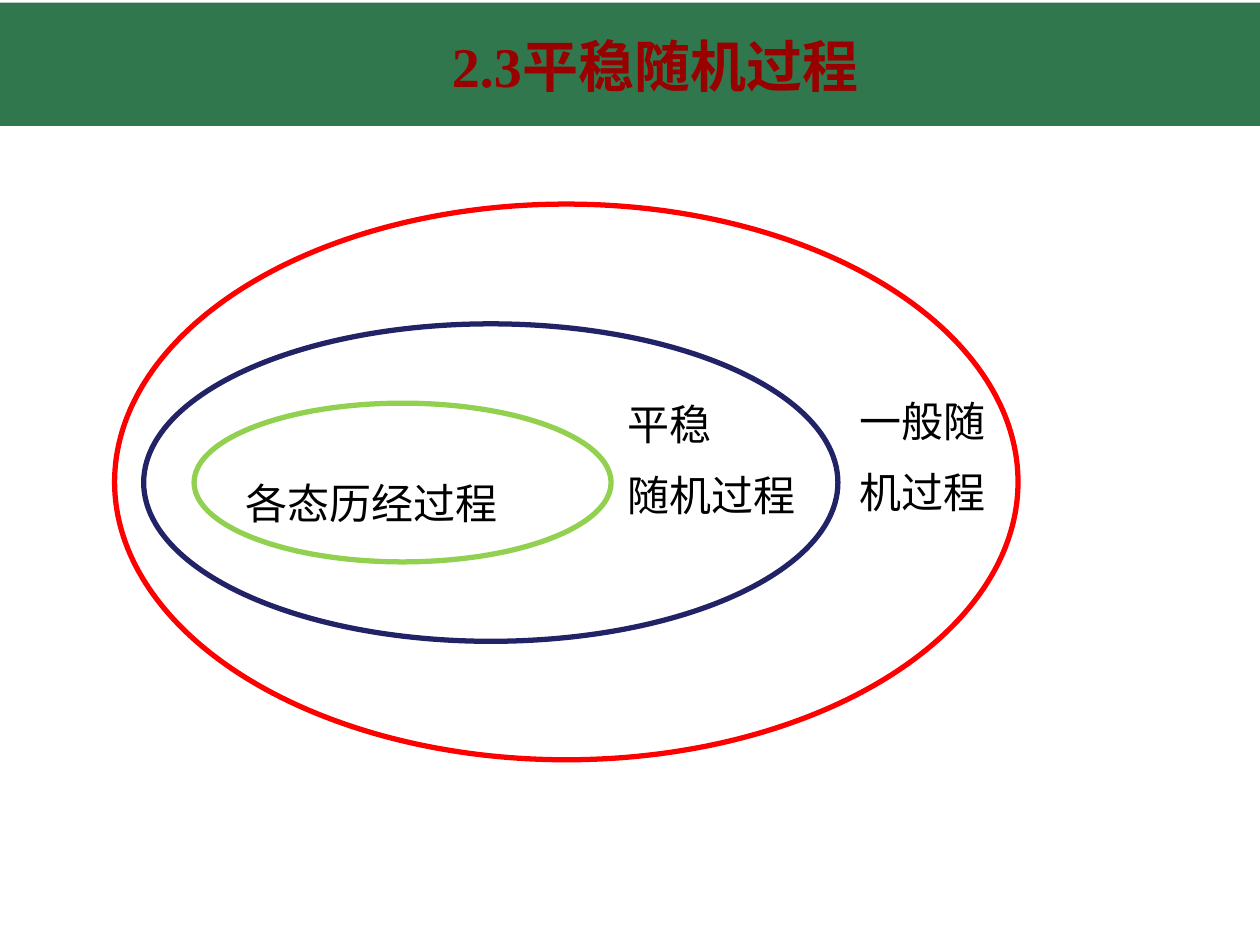
from dataclasses import dataclass
from lxml.etree import SubElement
from pptx import Presentation
from pptx.dml.color import RGBColor
from pptx.enum.shapes import MSO_SHAPE
from pptx.enum.text import MSO_ANCHOR, PP_ALIGN
from pptx.oxml.ns import qn
from pptx.util import Inches, Pt


@dataclass(frozen=True)
class Theme:
    band: str = "005825"
    title: str = "990000"
    text: str = "000000"
    outer: str = "FF0000"
    middle: str = "222267"
    inner: str = "92D050"
    latin: str = "Times New Roman"
    asian: str = "Noto Sans CJK SC"
    head: int = 32
    body: int = 24
    stroke: int = 3


def apply(target, values):
    for name, value in values.items():
        setattr(target, name, value)


class Canvas:
    def __init__(self, slide, theme):
        self.slide = slide
        self.theme = theme

    def shape(self, kind, box):
        shape = self.slide.shapes.add_shape(kind, *map(Inches, box))
        shape.shadow.inherit = False
        return shape

    def band(self, box, alpha):
        shape = self.shape(MSO_SHAPE.RECTANGLE, box)
        shape.fill.solid()
        shape.fill.fore_color.rgb = RGBColor.from_string(self.theme.band)
        shape.line.fill.background()
        color = shape.fill._xPr.find(".//" + qn("a:srgbClr"))
        SubElement(color, qn("a:alpha"), val=str(alpha * 1000))

    def ring(self, box, color):
        shape = self.shape(MSO_SHAPE.OVAL, box)
        shape.fill.background()
        shape.line.color.rgb = RGBColor.from_string(color)
        shape.line.width = Pt(self.theme.stroke)

    def text(self, box, lines, font, para):
        frame = self.slide.shapes.add_textbox(*map(Inches, box)).text_frame
        apply(frame, {"word_wrap": False, "vertical_anchor": MSO_ANCHOR.TOP})
        frame.text = "\n".join(lines)
        for item in frame.paragraphs:
            apply(item, para)
            for run in item.runs:
                color = font["color"]
                apply(run.font, {k: v for k, v in font.items() if k != "color"})
                run.font.color.rgb = RGBColor.from_string(color)
                props = run.font._element
                props.set("lang", "zh-CN")
                SubElement(props, qn("a:ea"), typeface=self.theme.asian)

    def label(self, box, lines, **extra):
        theme = self.theme
        font = {"name": theme.asian, "size": Pt(theme.body), "color": theme.text}
        self.text(box, lines, font, {"space_before": Pt(theme.body / 2), **extra})

    def title(self, box, line):
        theme = self.theme
        font = {"name": theme.latin, "size": Pt(theme.head),
                "color": theme.title, "bold": True}
        self.text(box, [line], font, {"alignment": PP_ALIGN.CENTER})


def main():
    deck = Presentation()
    apply(deck, {"slide_width": Inches(10), "slide_height": Inches(7.5)})
    theme = Theme()
    canvas = Canvas(deck.slides.add_slide(deck.slide_layouts[6]), theme)

    canvas.band((0, 0.02, 10, 0.98), 81)
    canvas.ring((1.14, 2.57, 5.51, 2.52), theme.middle)
    canvas.ring((1.54, 3.2, 3.31, 1.26), theme.inner)
    canvas.ring((0.91, 1.62, 7.17, 4.41), theme.outer)
    canvas.label((6.72, 3.09, 1.21, 1.11), ["一般随", "机过程"])
    canvas.label((4.88, 3.11, 1.55, 1.11), ["平稳", "随机过程"])
    canvas.label((1.85, 3.52, 2.22, 0.63), ["各态历经过程"], line_spacing=1.55)
    canvas.title((3.39, 0.2, 3.62, 0.55), "2.3平稳随机过程")
    deck.save("out.pptx")


if __name__ == "__main__":
    main()
